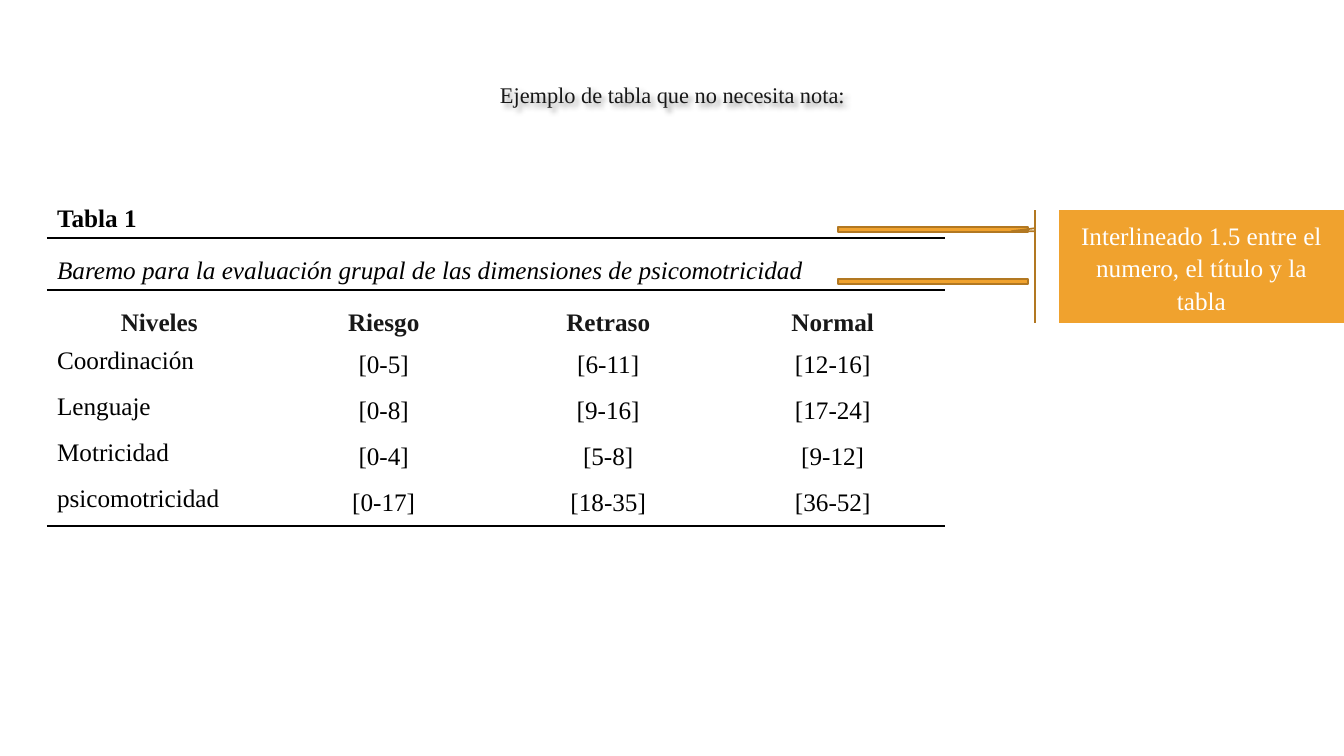
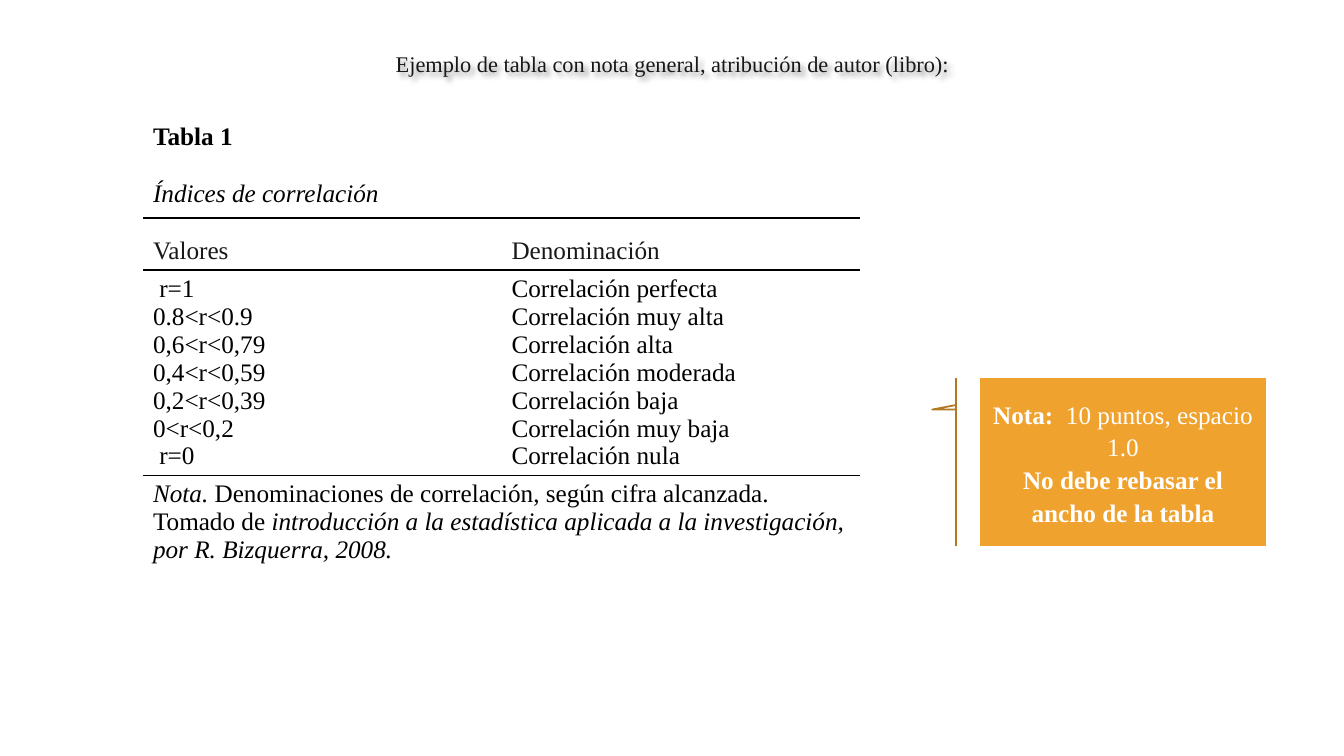
from lxml.etree import SubElement
from pptx import Presentation
from pptx.dml.color import RGBColor
from pptx.enum.shapes import MSO_SHAPE
from pptx.enum.text import MSO_ANCHOR, MSO_AUTO_SIZE, PP_ALIGN
from pptx.oxml import parse_xml
from pptx.oxml.ns import nsdecls, qn
from pptx.util import Pt

# Shared style
PX = 914400 / 100.8
FONT = "Times New Roman"
BLACK = RGBColor(0x00, 0x00, 0x00)
INK = RGBColor(0x18, 0x18, 0x18)
WHITE = RGBColor(0xFF, 0xFF, 0xFF)
ORANGE = RGBColor(0xF0, 0xA2, 0x2E)
BROWN = RGBColor(0xB2, 0x78, 0x22)
PLAIN_TABLE = "{2D5ABB26-0587-4C30-8999-92F81FD0307C}"
CALLOUT_POINTS = (0.188, -0.083, 0.188, -0.167, 0.162, -0.087)
LEFT, CENTER = PP_ALIGN.LEFT, PP_ALIGN.CENTER
TOP, MIDDLE = MSO_ANCHOR.TOP, MSO_ANCHOR.MIDDLE


def px(n):
    return round(n * PX)


def box(*lengths):
    return [px(n) for n in lengths]


class Deck:
    def __init__(self):
        self.prs = Presentation()
        self.prs.slide_width, self.prs.slide_height = box(1344, 756)
        self.s = None

    def text(self, tf, paras, color=BLACK, size=18, align=LEFT, spacing=1.0):
        """Each paragraph is a string or a list of (text, style) runs."""
        for i, runs in enumerate(paras):
            p = tf.paragraphs[0] if i == 0 else tf.add_paragraph()
            p.alignment, p.line_spacing = align, spacing
            for words, style in [(runs, "")] if isinstance(runs, str) else runs:
                r = p.add_run()
                r.text = words
                r.font.name, r.font.size = FONT, Pt(size)
                r.font.color.rgb = color
                r.font.bold, r.font.italic = style == "b", style == "i"

    def slide(self, title, top):
        self.s = self.prs.slides.add_slide(self.prs.slide_layouts[5])
        sp = self.s.shapes.title
        sp.left, sp.top, sp.width, sp.height = box(102, top, 1141, 61)
        tf = sp.text_frame
        tf.word_wrap, tf.auto_size = True, MSO_AUTO_SIZE.NONE
        tf.vertical_anchor = TOP
        self.text(tf, [title], INK, 16, CENTER, 1.1)
        tf.paragraphs[0].space_after = Pt(6)
        # Soft shadow behind the title text
        sp.fill.background()
        sp._element.spPr.append(parse_xml(
            f'<a:effectLst {nsdecls("a")}><a:outerShdw blurRad="50800" '
            'dist="38100" dir="2700000" algn="tl" rotWithShape="0">'
            '<a:srgbClr val="000000"><a:alpha val="40000"/></a:srgbClr>'
            '</a:outerShdw></a:effectLst>'))

    def table(self, x, y, w, heights, cols):
        frame = self.s.shapes.add_table(
            len(heights), cols, *box(x, y, w, sum(heights)))
        table = frame.table
        table.first_row = table.horz_banding = False
        table._tbl.tblPr.find(qn("a:tableStyleId")).text = PLAIN_TABLE
        for row, height in zip(table.rows, heights):
            row.height = px(height)
        for cell in table.iter_cells():
            cell.fill.solid()
            cell.fill.fore_color.rgb = WHITE
        return table

    def cell(self, cell, paras, anchor=TOP, **style):
        cell.vertical_anchor = anchor
        self.text(cell.text_frame, paras, **style)

    def wide_row(self, table, row, paras, **style):
        first = table.cell(row, 0)
        first.merge(table.cell(row, len(table.columns) - 1))
        self.cell(first, paras, **style)

    def rule_below(self, table, *rows):
        for row in rows:
            for cell in table.rows[row].cells:
                tc_pr = cell._tc.get_or_add_tcPr()
                ln = parse_xml(f'<a:lnB {nsdecls("a")} w="12700"/>')
                fill = SubElement(ln, qn("a:solidFill"))
                SubElement(fill, qn("a:srgbClr"), val=str(BLACK))
                tc_pr.insert(0, ln)

    def shape(self, kind, x, y, w, h):
        sp = self.s.shapes.add_shape(kind, *box(x, y, w, h))
        sp.shadow.inherit = False
        sp.fill.solid()
        sp.fill.fore_color.rgb = ORANGE
        sp.line.color.rgb, sp.line.width = BROWN, Pt(1.25)
        return sp

    def callout(self, x, y, w, h, paras):
        sp = self.shape(MSO_SHAPE.LINE_CALLOUT_2_ACCENT_BAR, x, y, w, h)
        for i, value in enumerate(CALLOUT_POINTS):
            sp.adjustments[i] = value
        tf = sp.text_frame
        tf.word_wrap, tf.vertical_anchor = True, MIDDLE
        self.text(tf, paras, WHITE, align=CENTER, spacing=1.08)


def scale_slide(deck):
    deck.slide("Ejemplo de tabla que no necesita nota:", 73)

    # Table of levels
    headers = ["Niveles", "Riesgo", "Retraso", "Normal"]
    levels = [
        ("Coordinación", "[0-5]", "[6-11]", "[12-16]"),
        ("Lenguaje", "[0-8]", "[9-16]", "[17-24]"),
        ("Motricidad", "[0-4]", "[5-8]", "[9-12]"),
        ("psicomotricidad", "[0-17]", "[18-35]", "[36-52]"),
    ]
    table = deck.table(47, 186, 898, [52] * 3 + [46] * 4, len(headers))
    deck.wide_row(table, 0, [[("Tabla 1", "b")]], spacing=1.5)
    deck.wide_row(table, 1, [[(
        "Baremo para la evaluación grupal de las dimensiones de "
        "psicomotricidad", "i")]], anchor=MIDDLE, spacing=1.5)
    for col, header in enumerate(headers):
        deck.cell(table.cell(2, col), [[(header, "b")]], color=INK,
                  align=CENTER, spacing=1.5)
    for row, (name, *ranges) in enumerate(levels, 3):
        deck.cell(table.cell(row, 0), [name])
        for col, limits in enumerate(ranges, 1):
            deck.cell(table.cell(row, col), [limits], MIDDLE, align=CENTER)
    deck.rule_below(table, 0, 1, 6)

    # Spacing markers and callout
    for y in (227, 279):
        deck.shape(MSO_SHAPE.RECTANGLE, 838, y, 190, 5)
    deck.callout(1059, 210, 285, 113, [
        "Interlineado 1.5 entre el numero, el título y la tabla"])


def correlation_slide(deck):
    deck.slide("Ejemplo de tabla con nota general, atribución de autor "
               "(libro):", 42)

    # Table of correlation values
    values = [" r=1", "0.8<r<0.9", "0,6<r<0,79", "0,4<r<0,59",
              "0,2<r<0,39", "0<r<0,2", " r=0"]
    names = ["Correlación " + degree for degree in (
        "perfecta", "muy alta", "alta", "moderada", "baja", "muy baja",
        "nula")]
    table = deck.table(143, 104, 717, [52, 62, 52, 205, 94], 2)
    deck.wide_row(table, 0, [[("Tabla 1", "b")]], spacing=1.5)
    deck.wide_row(table, 1, [[("Índices de correlación", "i")]],
                  anchor=MIDDLE, spacing=1.5)
    columns = [("Valores", values, TOP), ("Denominación", names, MIDDLE)]
    for col, (header, lines, anchor) in enumerate(columns):
        deck.cell(table.cell(2, col), [header], color=INK, spacing=1.5)
        deck.cell(table.cell(3, col), lines, anchor)
    deck.wide_row(table, 4, [
        [("Nota. ", "i"),
         ("Denominaciones de correlación, según cifra alcanzada.", "")],
        [("Tomado de ", ""),
         ("introducción a la estadística aplicada a la investigación, "
          "por R. Bizquerra, 2008.", "i")]])
    deck.rule_below(table, 1, 2, 3)

    # Callout about the note
    deck.callout(980, 378, 286, 168, [
        [("Nota: ", "b"), (" 10 puntos, espacio 1.0", "")],
        [("No debe rebasar el ancho de la tabla", "b")]])


def main():
    deck = Deck()
    scale_slide(deck)
    correlation_slide(deck)
    deck.prs.save("out.pptx")


if __name__ == "__main__":
    main()
